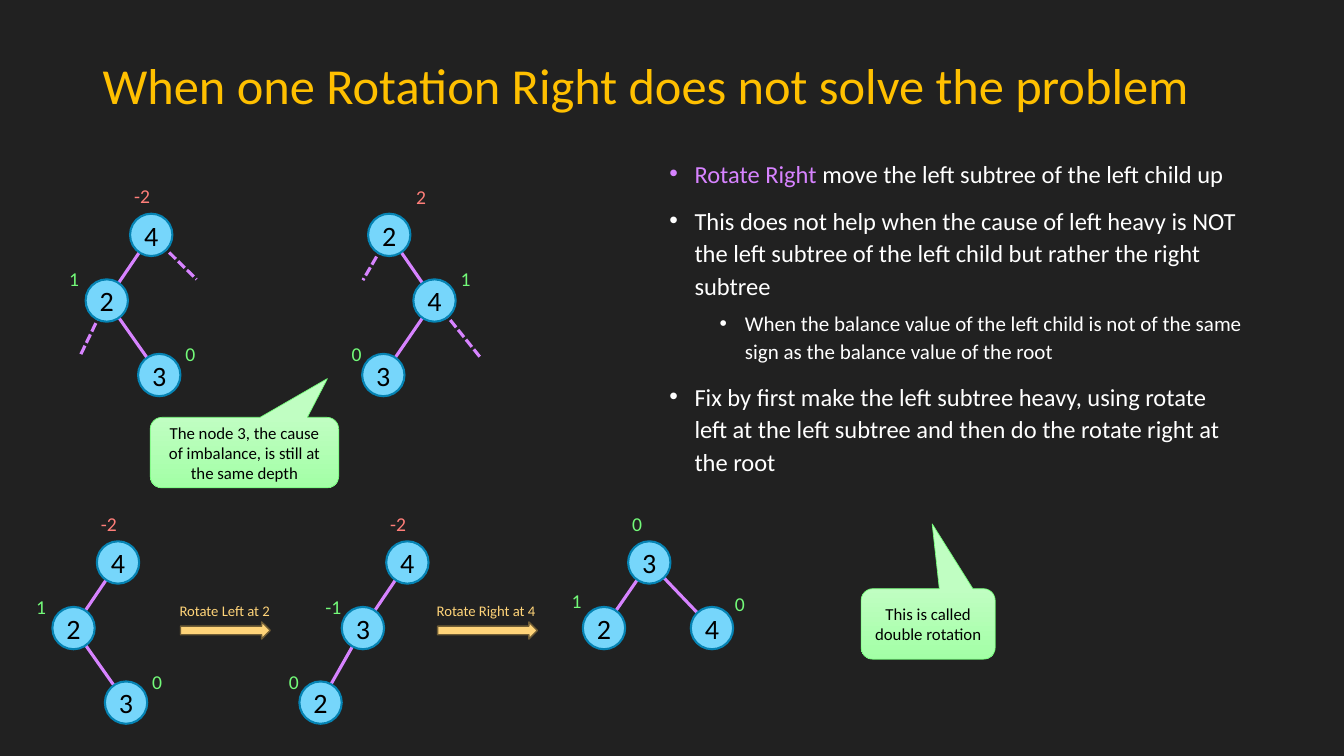
from lxml.etree import SubElement
from pptx import Presentation
from pptx.dml.color import RGBColor
from pptx.enum.dml import MSO_LINE
from pptx.enum.shapes import MSO_CONNECTOR, MSO_SHAPE
from pptx.enum.text import MSO_ANCHOR, PP_ALIGN
from pptx.oxml.ns import qn
from pptx.util import Inches, Pt

W, H = 13.33, 7.5
NODE = 0.42  # node diameter in inches, the unit of the tree grids
FONT = "Calibri"
COLORS = {
    "bg": "212121", "title": "FFC000", "text": "FFFFFF", "accent": "D783FF",
    "node": "76D6FB", "node_edge": "0583B3", "dark": "000000",
    "bad": "FF7E79", "good": "73FA79", "arrow": "FFD479", "arrow_edge": "705D35",
    "callout_top": "C0FEC2", "callout_bottom": "A3FFA6",
}

# Boxes are left, top, width, height in percent of the slide.
TITLE = "When one Rotation Right does not solve the problem"
TITLE_BOX = (6.9, 5.33, 86.27, 12.67)
BODY_BOX = (49.06, 19.87, 44.11, 50.8)
BODY = [  # level, runs of (text, colour)
    (0, [("Rotate Right ", "accent"),
         ("move the left subtree of the left child up", "text")]),
    (0, [("This does not help when the cause of left heavy is NOT the left "
          "subtree of the left child but rather the right subtree", "text")]),
    (1, [("When the balance value of the left child is not of the same sign "
          "as the balance value of the root", "text")]),
    (0, [("Fix by first make the left subtree heavy, using rotate left at the "
          "left subtree and then do the rotate right at the root", "text")]),
]
LEVELS = [  # size, space before, left margin in inches
    (17.5, 10, 0.25),
    (15, 5, 0.75),
]

# Tree grid: offsets in node diameters.
ROOT_ROWS = {"upper": 31.07, "lower": 74.4}
DEPTHS = (0, 1.55, 3.31)
LABEL_SIDES = {
    "top": (-0.64, -1.31), "top right": (0.4, -1.29),
    "left": (-1.12, -0.9), "near left": (-0.98, -0.9), "high left": (-1, -1.05),
    "right": (0.38, -0.9), "high right": (0.31, -0.98),
}
# Node: value, column from the root, depth, parent index, balance, label side
# Stub: node index, column and row from that node
LEFT_HEAVY = [("4", 0, 0, None, "-2", "top"), ("2", -1.05, 1, 0, "1", "left"),
              ("3", 0.19, 2, 1, "0", "right")]
TREES = [  # root column in percent, row, nodes, stubs
    (11.25, "upper", LEFT_HEAVY, [(1, -0.62, 1.29), (0, 1.07, 1.05)]),
    (28.96, "upper",
     [("2", 0, 0, None, "2", "top right"), ("4", 1.07, 1, 0, "1", "right"),
      ("3", -0.14, 2, 1, "0", "near left")],
     [(0, -0.62, 1.07), (1, 1.07, 1.33)]),
    (8.78, "lower", LEFT_HEAVY, []),
    (30.31, "lower",
     [("4", 0, 0, None, "-2", "top"), ("3", -1.05, 1, 0, "-1", "left"),
      ("2", -2.05, 2, 1, "0", "near left")], []),
    (48.31, "lower",
     [("3", 0, 0, None, "0", "top"), ("2", -1.07, 1, 0, "1", "high left"),
      ("4", 1.48, 1, 0, "0", "high right")], []),
]
ROTATIONS = [("Rotate Left at 2", 13.43, 6.68), ("Rotate Right at 4", 32.56, 7.43)]
CALLOUTS = [  # text, box, tip
    ("The node 3, the cause of imbalance, is still at the same depth",
     (11.18, 55.2, 14.03, 9.33), (0.44, -1.05)),
    ("This is called double rotation",
     (64.07, 77.87, 9.98, 9.33), (0.03, -1.42)),
]


def rgb(name):
    return RGBColor.from_string(COLORS[name])


def share(left, top, width, height):
    """Turn percent of the slide into inches."""
    return left * W / 100, top * H / 100, width * W / 100, height * H / 100


def add_run(p, text, size, color):
    r = p.add_run()
    r.text = text
    r.font.name, r.font.size = FONT, Pt(size)
    r.font.color.rgb = rgb(color)


def put_text(s, text, size=14, color="text", align=None, anchor=None,
             spacing=None, inset=None):
    tf = s.text_frame
    tf.word_wrap = True
    if anchor is not None:
        tf.vertical_anchor = anchor
    if inset is not None:
        tf.margin_left = tf.margin_right = tf.margin_top = tf.margin_bottom = inset
    p = tf.paragraphs[0]
    p.alignment, p.line_spacing = align, spacing
    add_run(p, text, size, color)


def add_box(box):
    return slide.shapes.add_textbox(*map(Inches, box))


def add_figure(kind, box, fill, edge, width):
    s = slide.shapes.add_shape(kind, *map(Inches, box))
    s.shadow.inherit = False
    if fill:
        s.fill.solid()
        s.fill.fore_color.rgb = rgb(fill)
    s.line.color.rgb = rgb(edge)
    s.line.width = Pt(width)
    return s


def add_edge(start, end, dashed=False):
    s = slide.shapes.add_connector(MSO_CONNECTOR.STRAIGHT,
                                   *map(Inches, (*start, *end)))
    s.line.color.rgb = rgb("accent")
    s.line.width = Pt(2.25)
    if dashed:
        s.line.dash_style = MSO_LINE.SQUARE_DOT
    SubElement(s._element.spPr, qn("a:effectLst"))


def shift(point, dx, dy):
    """Move a point by node diameters."""
    return point[0] + dx * NODE, point[1] + dy * NODE


def add_tree(column, row, nodes, stubs):
    root = (column * W / 100, ROOT_ROWS[row] * H / 100)
    centers = [shift(root, dx, DEPTHS[depth]) for _, dx, depth, *_ in nodes]
    for i, dx, dy in stubs:
        add_edge(centers[i], shift(centers[i], dx, dy), dashed=True)
    for center, node in zip(centers, nodes):
        if node[3] is not None:
            add_edge(centers[node[3]], center)
    for center, (value, _, _, _, balance, side) in zip(centers, nodes):
        s = add_figure(MSO_SHAPE.OVAL, (*shift(center, -0.5, -0.5), NODE, NODE),
                       "node", "node_edge", 1.5)
        put_text(s, value, size=20, color="dark", align=PP_ALIGN.CENTER,
                 anchor=MSO_ANCHOR.MIDDLE, inset=0)
        label = add_box((*shift(center, *LABEL_SIDES[side]), 0.38, 0.34))
        put_text(label, balance, color="bad" if abs(int(balance)) > 1 else "good")


def add_body():
    tf = add_box(share(*BODY_BOX)).text_frame
    tf.word_wrap = True
    for i, (level, runs) in enumerate(BODY):
        p = tf.add_paragraph() if i else tf.paragraphs[0]
        size, before, margin = LEVELS[level]
        p.level, p.line_spacing = level, 1.12
        if i:
            p.space_before = Pt(before)
        pPr = p._p.get_or_add_pPr()
        pPr.set("marL", str(Inches(margin)))
        pPr.set("indent", str(Inches(-0.25)))
        SubElement(pPr, qn("a:buFont"), typeface="Arial")
        SubElement(pPr, qn("a:buChar"), char="•")
        for text, color in runs:
            add_run(p, text, size, color)


prs = Presentation()
prs.slide_width, prs.slide_height = Inches(W), Inches(H)
slide = prs.slides.add_slide(prs.slide_layouts[6])
slide.background.fill.solid()
slide.background.fill.fore_color.rgb = rgb("bg")

put_text(add_box(share(*TITLE_BOX)), TITLE, size=36, color="title",
         anchor=MSO_ANCHOR.MIDDLE, spacing=0.9)
add_body()
for tree in TREES:
    add_tree(*tree)
for caption, left, width in ROTATIONS:
    add_figure(MSO_SHAPE.RIGHT_ARROW, share(left, 82.27, width, 2.27),
               "arrow", "arrow_edge", 1)
    put_text(add_box(share(left - 0.8, 78.93, width + 2.47, 3.73)), caption,
             size=10.5, color="arrow")
for text, box, tip in CALLOUTS:
    s = add_figure(MSO_SHAPE.ROUNDED_RECTANGULAR_CALLOUT, share(*box),
                   None, "good", 0.5)
    s.adjustments[0], s.adjustments[1] = tip
    s.fill.gradient()
    s.fill.gradient_angle = 270
    for stop, color in zip(s.fill.gradient_stops, ("callout_top", "callout_bottom")):
        stop.color.rgb = rgb(color)
    put_text(s, text, size=12, color="dark", align=PP_ALIGN.CENTER,
             anchor=MSO_ANCHOR.MIDDLE)

prs.save("out.pptx")
